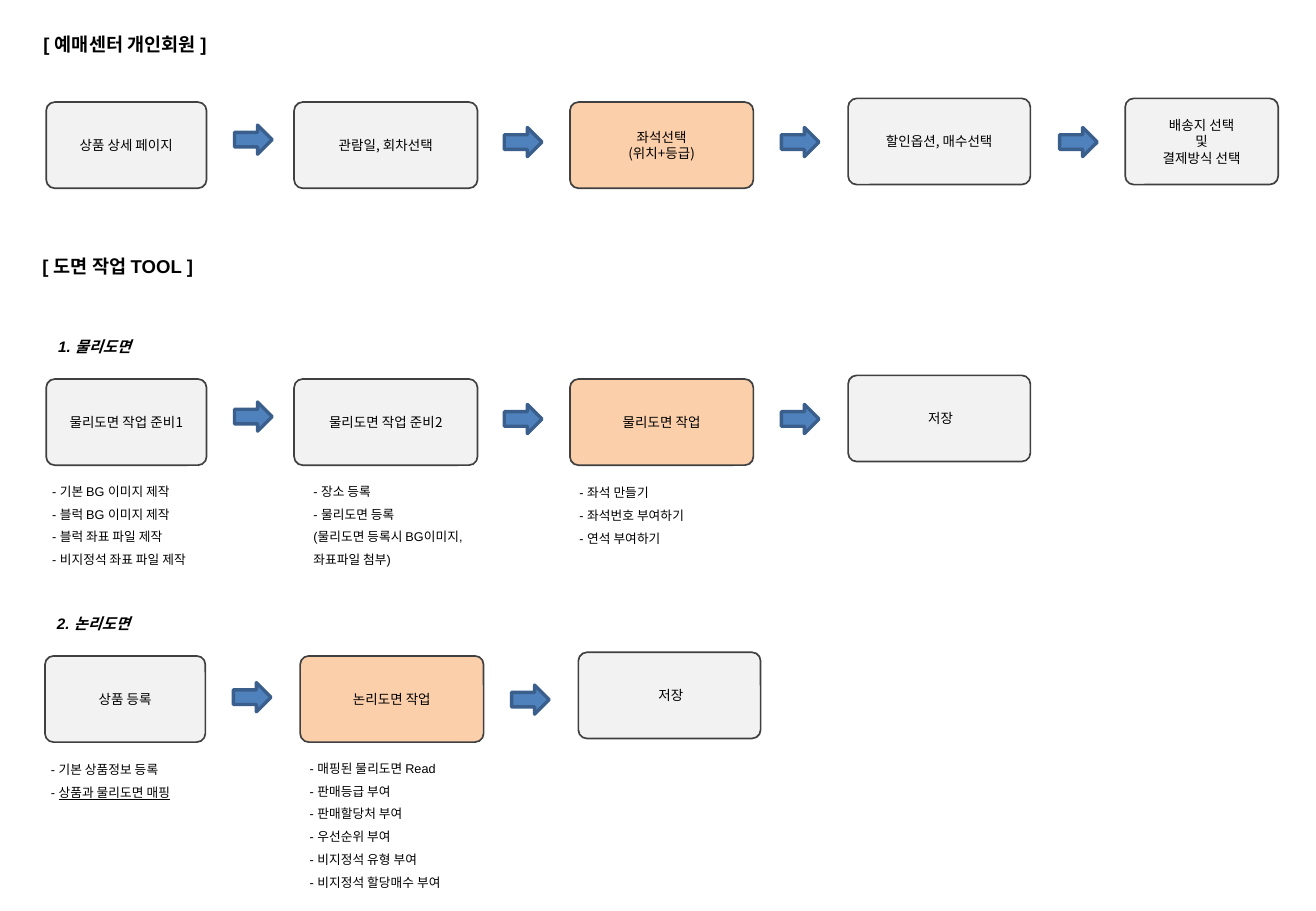
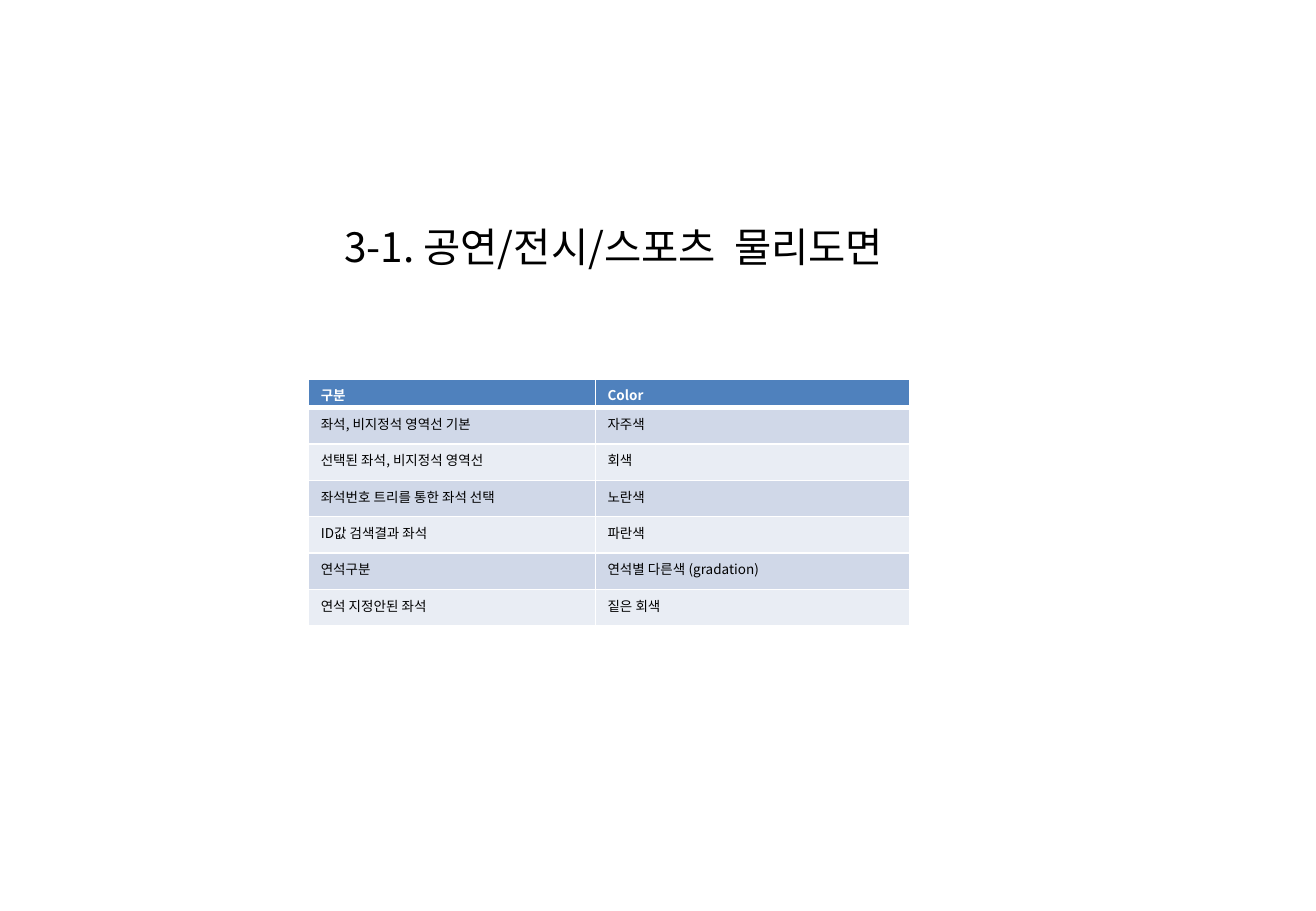
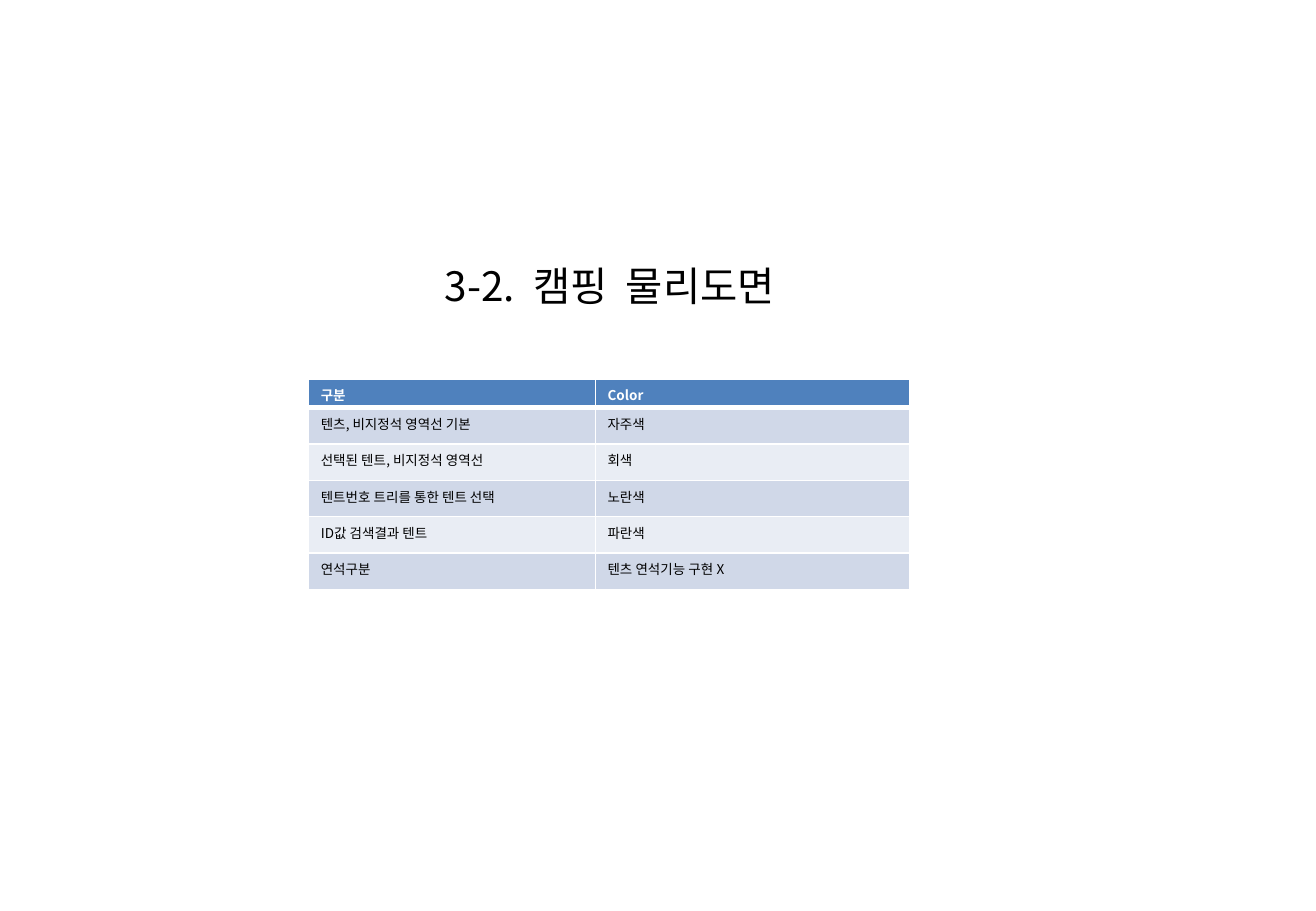
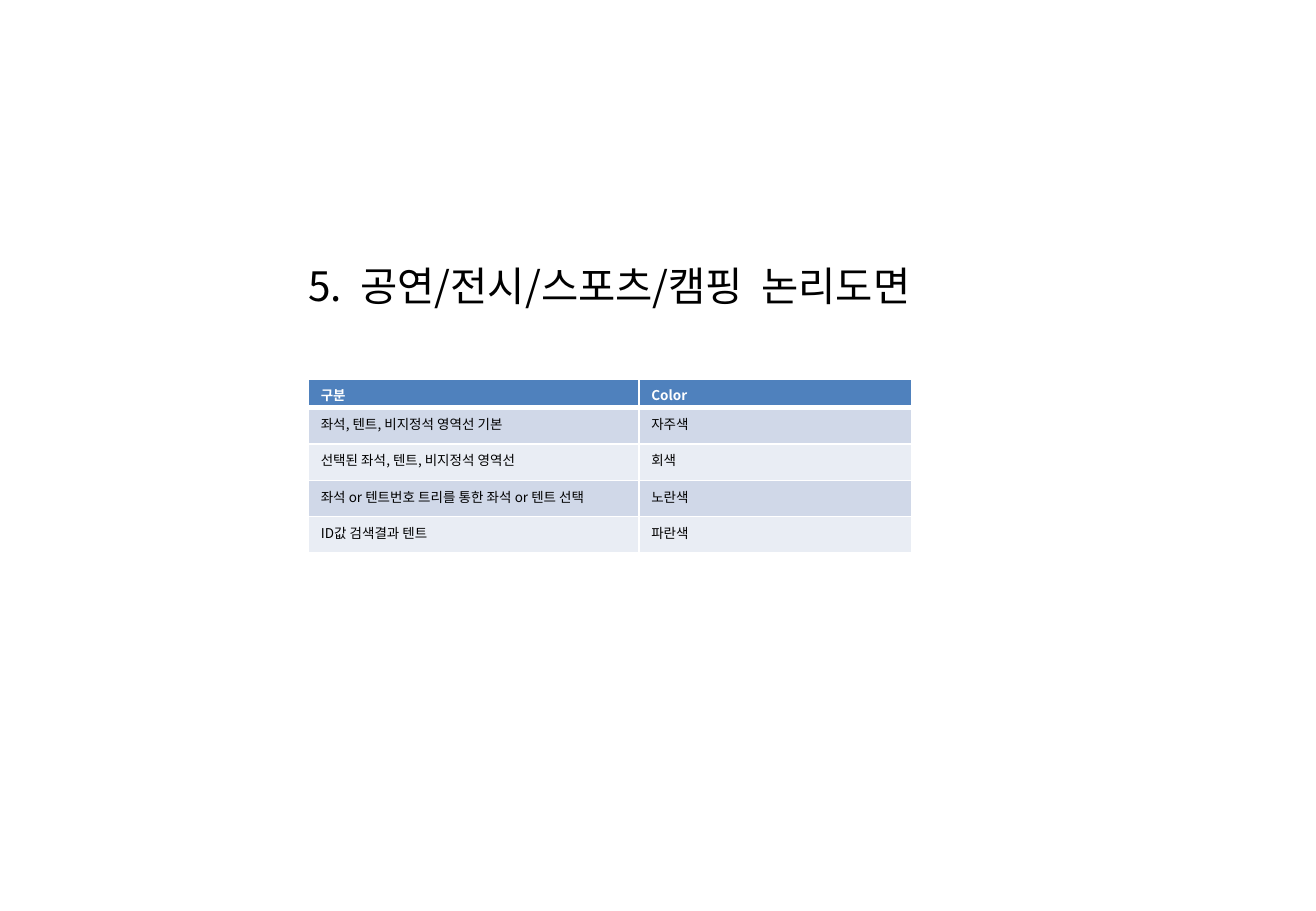
from lxml import etree
from pptx import Presentation
from pptx.dml.color import RGBColor
from pptx.enum.shapes import MSO_SHAPE
from pptx.enum.text import MSO_ANCHOR, MSO_AUTO_SIZE, PP_ALIGN
from pptx.oxml.ns import qn
from pptx.util import Inches, Pt

ROUNDED = MSO_SHAPE.ROUNDED_RECTANGLE
ARROW = MSO_SHAPE.RIGHT_ARROW
MIDDLE = MSO_ANCHOR.MIDDLE
GROW = MSO_AUTO_SIZE.SHAPE_TO_FIT_TEXT
LEFT, CENTER = PP_ALIGN.LEFT, PP_ALIGN.CENTER

BLACK, WHITE, GRAY, OUTLINE = "000000", "FFFFFF", "F2F2F2", "404040"
BLUE, DARK_BLUE, ORANGE = "4F81BD", "3A5F8C", "F68222"
BANDS = ["D0D8E8", "E9EDF4"]
SANS, KOREAN = "Arial", "Noto Sans CJK KR"


def paint(fill, color):
    fill.solid()
    fill.fore_color.rgb = RGBColor.from_string(color)


def write_text(frame, lines, size, font=KOREAN, align=LEFT, color=BLACK,
               bold=False, italic=False, spacing=None):
    frame.word_wrap = True
    for index, line in enumerate(lines):
        paragraph = frame.add_paragraph() if index else frame.paragraphs[0]
        paragraph.alignment = align
        if spacing:
            paragraph.line_spacing = spacing
        for part, text in enumerate(line.split("_")):
            run = paragraph.add_run()
            run.text = text
            run.font.size = Pt(size)
            run.font.bold = bold
            run.font.italic = italic
            if part % 2:
                run.font.underline = True
            paint(run.font.fill, color)
            run.font.name = font
            latin = run.font._element.find(qn("a:latin"))
            east_asian = etree.Element(qn("a:ea"), typeface=KOREAN)
            latin.addnext(east_asian)


presentation = Presentation()
presentation.slide_width = Inches(10.83)
presentation.slide_height = Inches(7.5)
blank = presentation.slide_layouts[6]

slide = presentation.slides.add_slide(blank)

headings = [
    (0.26, 0.22, 1.9, "[ 예매센터 개인회원 ]", 11, False),
    (0.25, 2.05, 1.9, "[ 도면 작업 TOOL ]", 11, False),
    (0.38, 2.73, 1.2, "1. 물리도면", 9, True),
    (0.37, 5.01, 1.2, "2. 논리도면", 9, True),
]
for left, top, width, text, size, italic in headings:
    box = slide.shapes.add_textbox(Inches(left), Inches(top), Inches(width), Inches(0.27))
    box.text_frame.auto_size = GROW
    write_text(box.text_frame, [text], size, SANS, bold=True, italic=italic)

step_columns = [(0.38, 1.32), (2.42, 1.51), (4.69, 1.51), (6.98, 1.5), (9.26, 1.26)]
arrow_columns = [1.93, 4.15, 6.43, 8.72]
flows = [
    (step_columns, arrow_columns, 0.19, 2,
     [["상품 상세 페이지"], ["관람일, 회차선택"], ["좌석선택", "(위치+등급)"],
      ["할인옵션, 매수선택"], ["배송지 선택", "및", "결제방식 선택"]]),
    (step_columns, arrow_columns, 0.19, 2,
     [["물리도면 작업 준비1"], ["물리도면 작업 준비2"], ["물리도면 작업"], [" 저장"]]),
    ([(0.37, 1.32), (2.47, 1.51), (4.76, 1.5)], [1.92, 4.21], 0.22, 1,
     [["상품 등록"], ["논리도면 작업"], [" 저장"]]),
]
for row, (columns, arrows, arrow_offset, accent, steps) in enumerate(flows):
    row_top = 0.84 + 2.28 * row
    for index, ((left, width), lines) in enumerate(zip(columns, steps)):
        top = row_top - 0.03 if index > accent else row_top
        step = slide.shapes.add_shape(ROUNDED, Inches(left), Inches(top),
                                      Inches(width), Inches(0.71))
        step.adjustments[0] = 0.1
        step.shadow.inherit = False
        paint(step.fill, ORANGE if index == accent else GRAY)
        if index == accent:
            fill_color = step.fill._xPr.find(qn("a:solidFill"))[0]
            etree.SubElement(fill_color, qn("a:alpha"), val="38000")
        paint(step.line.fill, OUTLINE)
        step.line.width = Pt(1)
        step.text_frame.vertical_anchor = MIDDLE
        write_text(step.text_frame, lines, 8, align=CENTER)
    for index, left in enumerate(arrows[:len(steps) - 1]):
        top = row_top + arrow_offset + (0.02 if index else 0)
        arrow = slide.shapes.add_shape(ARROW, Inches(left), Inches(top),
                                       Inches(0.31), Inches(0.24))
        arrow.shadow.inherit = False
        paint(arrow.fill, BLUE)
        paint(arrow.line.fill, DARK_BLUE)
        arrow.line.width = Pt(2)

step_notes = [
    (0.33, 3.87, 1.6, ["- 기본 BG 이미지 제작", "- 블럭 BG 이미지 제작",
                       "- 블럭 좌표 파일 제작", "- 비지정석 좌표 파일 제작"]),
    (2.48, 3.87, 1.52, ["- 장소 등록", "- 물리도면 등록",
                        "(물리도면 등록시 BG이미지,", "좌표파일 첨부)"]),
    (4.67, 3.88, 1.6, ["- 좌석 만들기", "- 좌석번호 부여하기", "- 연석 부여하기"]),
    (0.32, 6.16, 1.6, ["- 기본 상품정보 등록", "- _상품과 물리도면 매핑"]),
    (2.45, 6.15, 1.6, ["- 매핑된 물리도면 Read", "- 판매등급 부여", "- 판매할당처 부여",
                       "- 우선순위 부여", "- 비지정석 유형 부여", "- 비지정석 할당매수 부여"]),
]
for left, top, width, lines in step_notes:
    box = slide.shapes.add_textbox(Inches(left), Inches(top), Inches(width),
                                   Inches(0.1 + 0.19 * len(lines)))
    box.text_frame.auto_size = GROW
    write_text(box.text_frame, lines, 7.5, SANS, spacing=1.5)

color_tables = [
    ("3-1. 공연/전시/스포츠  물리도면", (2.4, 1.78, 5.3), (2.36, 2.59), [
        ("좌석, 비지정석 영역선 기본", "자주색"),
        ("선택된 좌석, 비지정석 영역선", "회색"),
        ("좌석번호 트리를 통한 좌석 선택", "노란색"),
        ("ID값 검색결과 좌석", "파란색"),
        ("연석구분", "연석별 다른색 (gradation)"),
        ("연석 지정안된 좌석", "짙은 회색"),
    ]),
    ("3-2.  캠핑  물리도면", (3.38, 2.1, 3.28), (2.36, 2.59), [
        ("텐츠, 비지정석 영역선 기본", "자주색"),
        ("선택된 텐트, 비지정석 영역선", "회색"),
        ("텐트번호 트리를 통한 텐트 선택", "노란색"),
        ("ID값 검색결과 텐트", "파란색"),
        ("연석구분", "텐츠 연석기능 구현 X"),
    ]),
    ("5.  공연/전시/스포츠/캠핑  논리도면", (2.16, 2.1, 5.71), (2.72, 2.24), [
        ("좌석, 텐트, 비지정석 영역선 기본", "자주색"),
        ("선택된 좌석, 텐트, 비지정석 영역선", "회색"),
        ("좌석 or 텐트번호 트리를 통한 좌석 or 텐트 선택", "노란색"),
        ("ID값 검색결과 텐트", "파란색"),
    ]),
]
for title, (left, top, width), column_widths, body in color_tables:
    slide = presentation.slides.add_slide(blank)
    box = slide.shapes.add_textbox(Inches(left), Inches(top), Inches(width), Inches(0.5))
    box.text_frame.auto_size = GROW
    write_text(box.text_frame, [title], 24, align=CENTER)

    rows = [("구분", "Color")] + body
    table = slide.shapes.add_table(len(rows), 2, Inches(2.54), Inches(3.12), Inches(4.96),
                                   Inches(0.14 + 0.3 * len(body))).table
    for column, column_width in zip(table.columns, column_widths):
        column.width = Inches(column_width)
    for row_index, values in enumerate(rows):
        header = row_index == 0
        table.rows[row_index].height = Inches(0.14 if header else 0.3)
        borders = {"a:lnL": 1, "a:lnR": 1, "a:lnT": 3 if row_index == 1 else 1,
                   "a:lnB": 3 if header else 1}
        for column_index, value in enumerate(values):
            cell = table.cell(row_index, column_index)
            properties = cell._tc.get_or_add_tcPr()
            for tag, points in borders.items():
                border = etree.SubElement(properties, qn(tag), w=str(Pt(points)))
                border_fill = etree.SubElement(border, qn("a:solidFill"))
                etree.SubElement(border_fill, qn("a:srgbClr"), val=WHITE)
            paint(cell.fill, BLUE if header else BANDS[(row_index - 1) % 2])
            write_text(cell.text_frame, [value], 8, color=WHITE if header else BLACK,
                       bold=header)

presentation.save("out.pptx")
